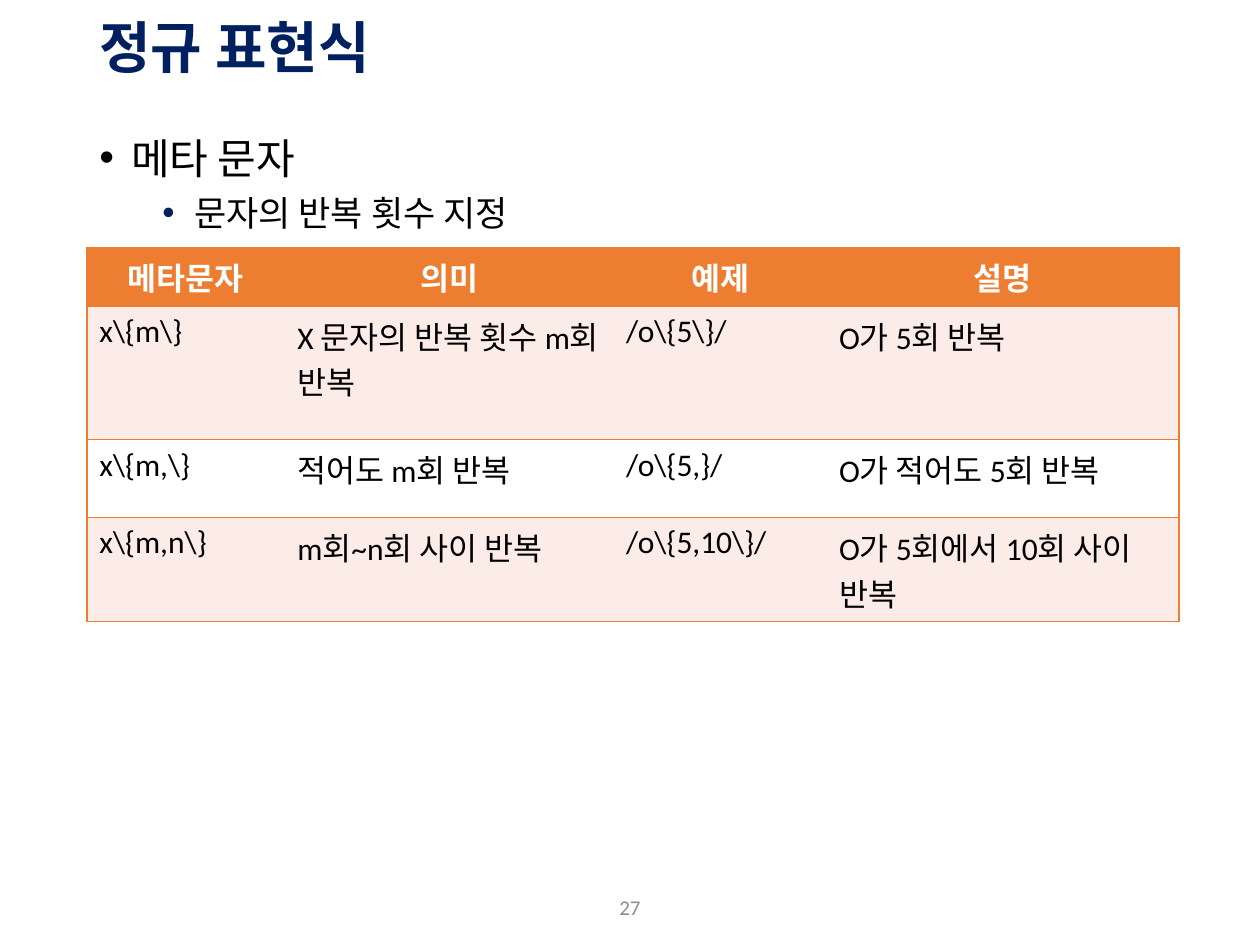
from dataclasses import dataclass

from lxml.etree import SubElement
from pptx import Presentation
from pptx.dml.color import RGBColor
from pptx.enum.text import MSO_ANCHOR as Anchor, MSO_AUTO_SIZE as AutoSize, PP_ALIGN as Align
from pptx.oxml.ns import qn
from pptx.util import Cm, Pt

COLORS = {
    "navy": "002060",
    "black": "000000",
    "white": "FFFFFF",
    "gray": "8C8C8C",
    "orange": "ED7D31",
    "band": "FCECE8",
}


@dataclass
class TextStyle:
    size: float
    font: str
    color: str
    bold: bool = False


@dataclass
class Bullet:
    text: str
    level: int
    indent: float
    space_before: float
    size: float
    color: str


TITLE_STYLE = TextStyle(32, "Vollkorn", "navy", bold=True)
NUMBER_STYLE = TextStyle(12, "Calibri", "gray")
HEADER_STYLE = TextStyle(18, "Calibri", "white", bold=True)
CELL_STYLE = TextStyle(18, "Calibri", "black")

HANGING = 0.64
BULLETS = [
    Bullet("메타 문자", 0, 0.64, 10, 24, "black"),
    Bullet("문자의 반복 횟수 지정", 1, 1.91, 5, 20, "navy"),
]

COLUMN_WIDTHS = [3.99, 6.63, 4.29, 7.11]
ROW_HEIGHTS = [0.79, 2.69, 1.57, 1.32]
META_CHARACTERS = [
    ["메타문자", "의미", "예제", "설명"],
    [r"x\{m\}", "X 문자의 반복 횟수 m회 반복", r"/o\{5\}/", "O가 5회 반복"],
    [r"x\{m,\}", "적어도 m회 반복", r"/o\{5,}/", "O가 적어도 5회 반복"],
    [r"x\{m,n\}", "m회~n회 사이 반복", r"/o\{5,10\}/", "O가 5회에서 10회 사이 반복"],
]


def rgb(name: str) -> RGBColor:
    return RGBColor.from_string(COLORS[name])


def place(shape, left: float, top: float, width: float, height: float) -> None:
    shape.left, shape.top = Cm(left), Cm(top)
    shape.width, shape.height = Cm(width), Cm(height)


def style_runs(paragraph, style: TextStyle) -> None:
    for run in paragraph.runs:
        run.font.size = Pt(style.size)
        run.font.name = style.font
        run.font.bold = style.bold
        run.font.color.rgb = rgb(style.color)


def add_bullet(paragraph, bullet: Bullet) -> None:
    paragraph.text = bullet.text
    paragraph.level = bullet.level
    paragraph.alignment = Align.LEFT
    paragraph.space_before = Pt(bullet.space_before)
    style_runs(paragraph, TextStyle(bullet.size, "Arial", "black"))
    props = paragraph._p.get_or_add_pPr()
    props.set("marL", str(Cm(bullet.indent)))
    props.set("indent", str(-Cm(HANGING)))
    bullet_color = SubElement(props, qn("a:buClr"))
    SubElement(bullet_color, qn("a:srgbClr"), val=COLORS[bullet.color])
    SubElement(props, qn("a:buFont"), typeface="Arial")
    SubElement(props, qn("a:buChar"), char="•")


def set_borders(cell, visible: dict[str, bool]) -> None:
    props = cell._tc.get_or_add_tcPr()
    for side, shown in visible.items():
        line = SubElement(props, qn(f"a:ln{side}"), w=str(Pt(1)))
        if shown:
            fill = SubElement(line, qn("a:solidFill"))
            SubElement(fill, qn("a:srgbClr"), val=COLORS["orange"])
        else:
            SubElement(line, qn("a:noFill"))


def add_meta_table(slide, left: float, top: float) -> None:
    last = len(COLUMN_WIDTHS) - 1
    table = slide.shapes.add_table(
        len(ROW_HEIGHTS), len(COLUMN_WIDTHS), Cm(left), Cm(top),
        Cm(sum(COLUMN_WIDTHS)), Cm(sum(ROW_HEIGHTS))).table
    for column, width in zip(table.columns, COLUMN_WIDTHS):
        column.width = Cm(width)
    for r, (texts, height) in enumerate(zip(META_CHARACTERS, ROW_HEIGHTS)):
        table.rows[r].height = Cm(height)
        row_fill = "orange" if r == 0 else "band" if r % 2 else "white"
        for c, text in enumerate(texts):
            cell = table.cell(r, c)
            set_borders(cell, {"L": c == 0, "R": c == last, "T": True, "B": True})
            cell.fill.solid()
            cell.fill.fore_color.rgb = rgb(row_fill)
            cell.text_frame.text = text
            paragraph = cell.text_frame.paragraphs[0]
            paragraph.alignment = Align.LEFT if r else Align.CENTER
            style_runs(paragraph, CELL_STYLE if r else HEADER_STYLE)


def main() -> None:
    deck = Presentation()
    deck.slide_width, deck.slide_height = Cm(25.4), Cm(19.05)
    slide = deck.slides.add_slide(deck.slide_layouts[1])

    # Title
    title = slide.shapes.title
    place(title, 1.75, 0.28, 21.9, 1.45)
    title.text_frame.text = "정규 표현식"
    title.text_frame.auto_size = AutoSize.NONE
    title.text_frame.vertical_anchor = Anchor.MIDDLE
    heading = title.text_frame.paragraphs[0]
    heading.alignment = Align.LEFT
    heading.line_spacing = 0.9
    style_runs(heading, TITLE_STYLE)

    # Bullet list
    body = slide.placeholders[1]
    place(body, 1.75, 2.54, 21.9, 14.43)
    outline = body.text_frame
    outline.auto_size = AutoSize.NONE
    for i, bullet in enumerate(BULLETS):
        add_bullet(outline.add_paragraph() if i else outline.paragraphs[0], bullet)

    # Table of repetition meta characters
    add_meta_table(slide, 1.75, 5.0)

    # Page number
    page_number = slide.shapes.add_textbox(Cm(12.1), Cm(17.78), Cm(1.2), Cm(1.02))
    page_number.text_frame.word_wrap = True
    page_number.text_frame.vertical_anchor = Anchor.MIDDLE
    page_number.text_frame.text = "27"
    number = page_number.text_frame.paragraphs[0]
    number.alignment = Align.CENTER
    style_runs(number, NUMBER_STYLE)

    deck.save("out.pptx")


if __name__ == "__main__":
    main()
